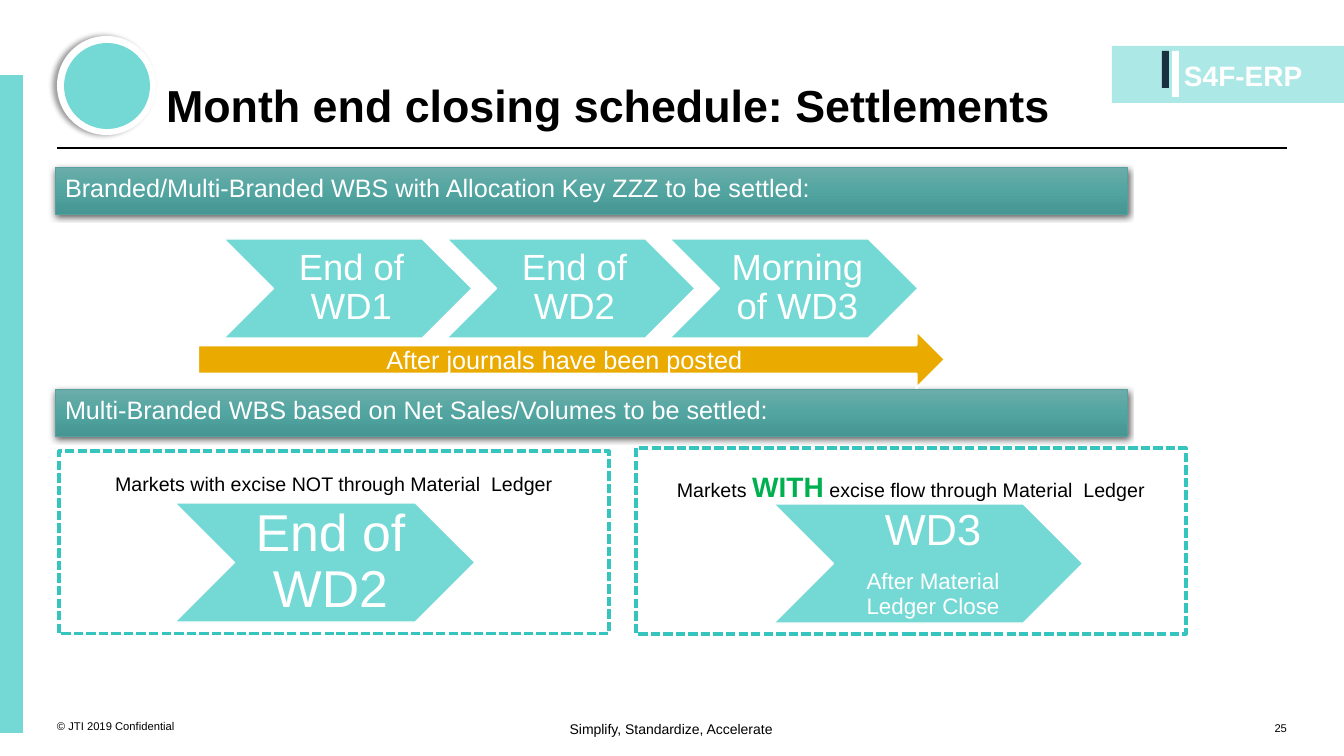
"""Builds the month end closing schedule slide for settlements."""
import copy

import pptx
import pptx.dml.color
import pptx.enum.dml
import pptx.enum.shapes
import pptx.enum.text
import pptx.oxml
import pptx.oxml.ns
import pptx.util

PX = 914400 / 100.8
TEAL, WHITE, BLACK = "74D9D5", "FFFFFF", "000000"
rgb = pptx.dml.color.RGBColor.from_string
qn = pptx.oxml.ns.qn
KIND = pptx.enum.shapes.MSO_SHAPE
ALIGN = pptx.enum.text.PP_ALIGN
ANCHOR = pptx.enum.text.MSO_ANCHOR

deck = pptx.Presentation()
deck.slide_width, deck.slide_height = round(1344 * PX), round(756 * PX)
slide = deck.slides.add_slide(deck.slide_layouts[5])
shapes = slide.shapes


def block(kind, box, fill=None, line=None, weight=1, shadow=None):
    """Add a preset shape; shadow is alpha %, blur pt, distance pt, degrees."""
    shape = shapes.add_shape(kind, *[round(v * PX) for v in box])
    shape.shadow.inherit = False
    if fill:
        shape.fill.solid()
        shape.fill.fore_color.rgb = rgb(fill)
    else:
        shape.fill.background()
    if line:
        shape.line.color.rgb = rgb(line)
        shape.line.width = pptx.util.Pt(weight)
    else:
        shape.line.fill.background()
    if shadow:
        alpha, blur, distance, angle = shadow
        shape._element.spPr.find(qn("a:effectLst")).append(pptx.oxml.parse_xml(
            f'<a:outerShdw {pptx.oxml.ns.nsdecls("a")} blurRad="{round(blur * 12700)}" '
            f'dist="{round(distance * 12700)}" dir="{angle * 60000}" algn="ctr" rotWithShape="0">'
            f'<a:srgbClr val="{BLACK}"><a:alpha val="{alpha * 1000}"/></a:srgbClr></a:outerShdw>'))
    return shape


def write(shape, text, sizes, colour, align=ALIGN.LEFT, anchor=ANCHOR.TOP,
          insets=(0, 0, 0, 0), bold=False, spacing=None):
    """Set text with one size per paragraph; insets are px left, top, right, bottom."""
    frame = shape.text_frame
    frame.text = text
    frame.word_wrap = True
    frame.auto_size = pptx.enum.text.MSO_AUTO_SIZE.NONE
    frame.vertical_anchor = anchor
    (frame.margin_left, frame.margin_top,
     frame.margin_right, frame.margin_bottom) = [round(v * PX) for v in insets]
    for paragraph, size in zip(frame.paragraphs, sizes):
        paragraph.alignment = align
        paragraph.line_spacing = spacing
        for run in paragraph.runs:
            run.font.name = "Arial"
            run.font.size = pptx.util.Pt(size)
            run.font.bold = bold
            run.font.color.rgb = rgb(colour)
    return frame


rule = shapes.add_connector(pptx.enum.shapes.MSO_CONNECTOR.STRAIGHT,
                            *[round(v * PX) for v in (57, 148, 1287, 148)])
rule.line.color.rgb = rgb(BLACK)
rule.line.width = pptx.util.Pt(0.75)
rule._element.spPr.append(pptx.oxml.parse_xml(
    f'<a:effectLst {pptx.oxml.ns.nsdecls("a")}/>'))

block(KIND.RECTANGLE, (1112, 46, 232, 57), "ACE8E6")
block(KIND.RECTANGLE, (1162, 51, 7, 37), "1A3040")
tag_bar = block(KIND.ROUNDED_RECTANGLE, (1172, 51, 7, 46), WHITE)
tag_bar.adjustments[0] = 0.07
block(KIND.RECTANGLE, (0, 75, 23, 658), TEAL)
block(KIND.OVAL, (57, 36, 99, 99), WHITE, shadow=(40, 4, 3, 180))
block(KIND.OVAL, (64, 43, 86, 86), TEAL)

title = shapes.title
title.left, title.top, title.width, title.height = [
    round(v * PX) for v in (166, 23, 982, 109)]
write(title, "Month end closing schedule: Settlements", [32], BLACK,
      anchor=ANCHOR.BOTTOM, bold=True, spacing=0.9)

for box, text, size, colour, align, anchor in [
    ((1184, 59, 126, 50), "S4F-ERP", 20, WHITE, ALIGN.LEFT, ANCHOR.TOP),
    ((57, 693, 199, 40), "© JTI 2019 Confidential", 8, BLACK, ALIGN.LEFT, ANCHOR.BOTTOM),
    ((517, 721, 308, 30), "Simplify, Standardize, Accelerate", 10, BLACK, ALIGN.CENTER, ANCHOR.TOP),
    ((1243, 695, 44, 40), "25", 8, BLACK, ALIGN.RIGHT, ANCHOR.BOTTOM),
]:
    label = shapes.add_textbox(*[round(v * PX) for v in box])
    write(label, text, [size], colour, align, anchor, bold=text == "S4F-ERP")

for top, text in [
    (167, "Branded/Multi-Branded WBS with Allocation Key ZZZ to be settled:"),
    (389, "Multi-Branded WBS based on Net Sales/Volumes to be settled:"),
]:
    banner = block(KIND.RECTANGLE, (55, top, 1072, 47), None, "56A19E", 0.5, (63, 4.5, 1.5, 90))
    banner.fill.gradient()
    banner.fill.gradient_angle = 270
    stops = banner._element.spPr.find(qn("a:gradFill")).find(qn("a:gsLst"))
    stops.insert(1, copy.deepcopy(stops[0]))
    for stop, position, colour in zip(banner.fill.gradient_stops, (0, 0.5, 1),
                                      ("6CADAA", "52A5A1", "469693")):
        stop.position = position
        stop.color.rgb = rgb(colour)
    write(banner, text, [18], WHITE, insets=(10, 5, 10, 5))

for box, runs in [
    ((59, 451, 550, 183), [("Markets with excise NOT through Material  Ledger", 14, BLACK)]),
    ((636, 448, 550, 186), [("Markets ", 14, BLACK), ("WITH", 20, "00B050"),
                            (" excise flow through Material  Ledger", 14, BLACK)]),
]:
    panel = block(KIND.RECTANGLE, box, None, "36C4BE", 2.25)
    panel.line.dash_style = pptx.enum.dml.MSO_LINE.SQUARE_DOT
    heading = write(panel, runs[0][0], [14], BLACK, ALIGN.CENTER,
                    insets=(10, 21, 10, 5)).paragraphs[0]
    for text, size, colour in runs[1:]:
        run = heading.add_run()
        run.text = text
        run.font.name = "Arial"
        run.font.size = pptx.util.Pt(size)
        run.font.bold = text == "WITH"
        run.font.color.rgb = rgb(colour)

steps = [((224 + 223 * i, 239, 248, 99), text, [26], (11, 4, 4, 4))
         for i, text in enumerate(["End of WD1", "End of WD2", "Morning of WD3"])]
steps += [((175, 503, 300, 119), "End of WD2", [37], (16, 5, 5, 5)),
          ((774, 504, 309, 119), "WD3\nAfter Material Ledger Close", [31, 16], (14, 5, 5, 5))]
for box, text, sizes, insets in steps:
    chevron = block(KIND.CHEVRON, box, TEAL, WHITE)
    caption = write(chevron, text, sizes, WHITE, ALIGN.CENTER, ANCHOR.MIDDLE, insets, spacing=0.9)
    if len(sizes) > 1:
        caption.paragraphs[0].space_after = pptx.util.Pt(11)

journals = block(KIND.RIGHT_ARROW, (198, 331, 747, 57), "EAAA00", WHITE, 1.5)
write(journals, "After journals have been posted", [18], WHITE, ALIGN.CENTER,
      ANCHOR.MIDDLE, (10, 5, 10, 5))

deck.save("out.pptx")
